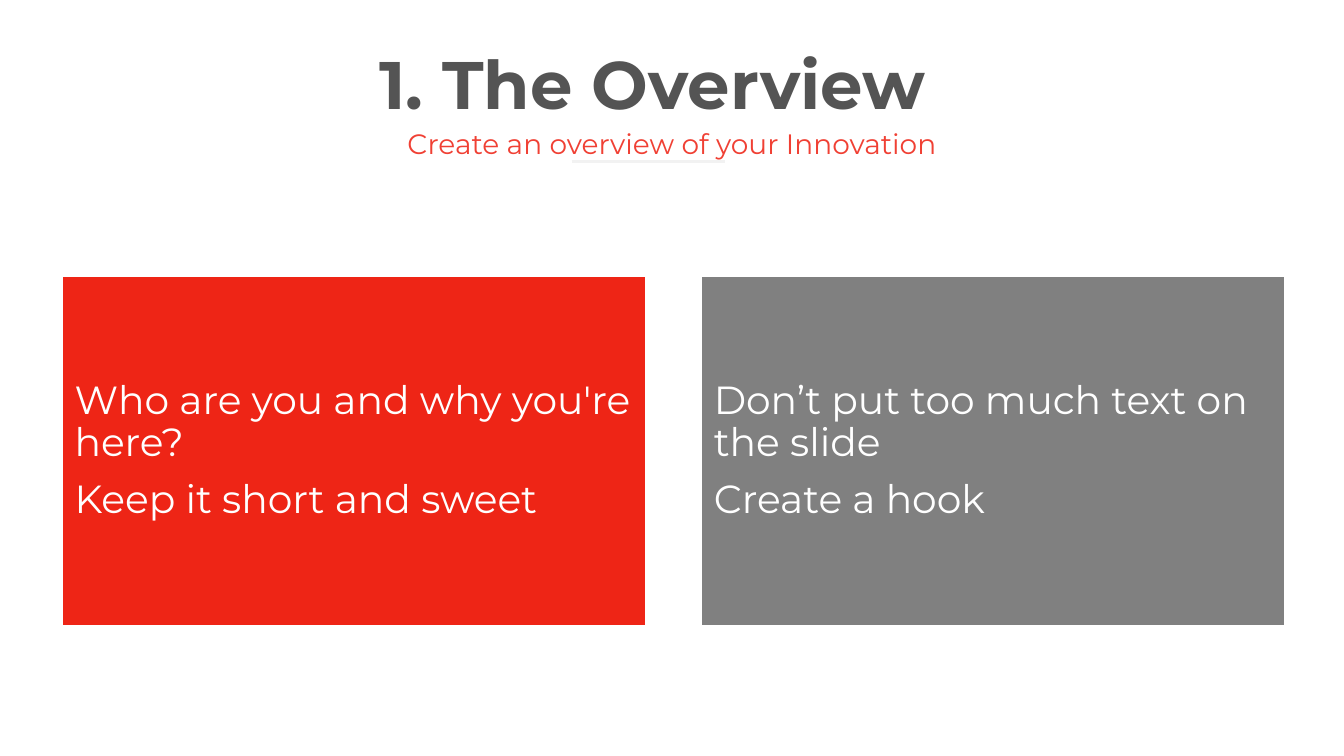
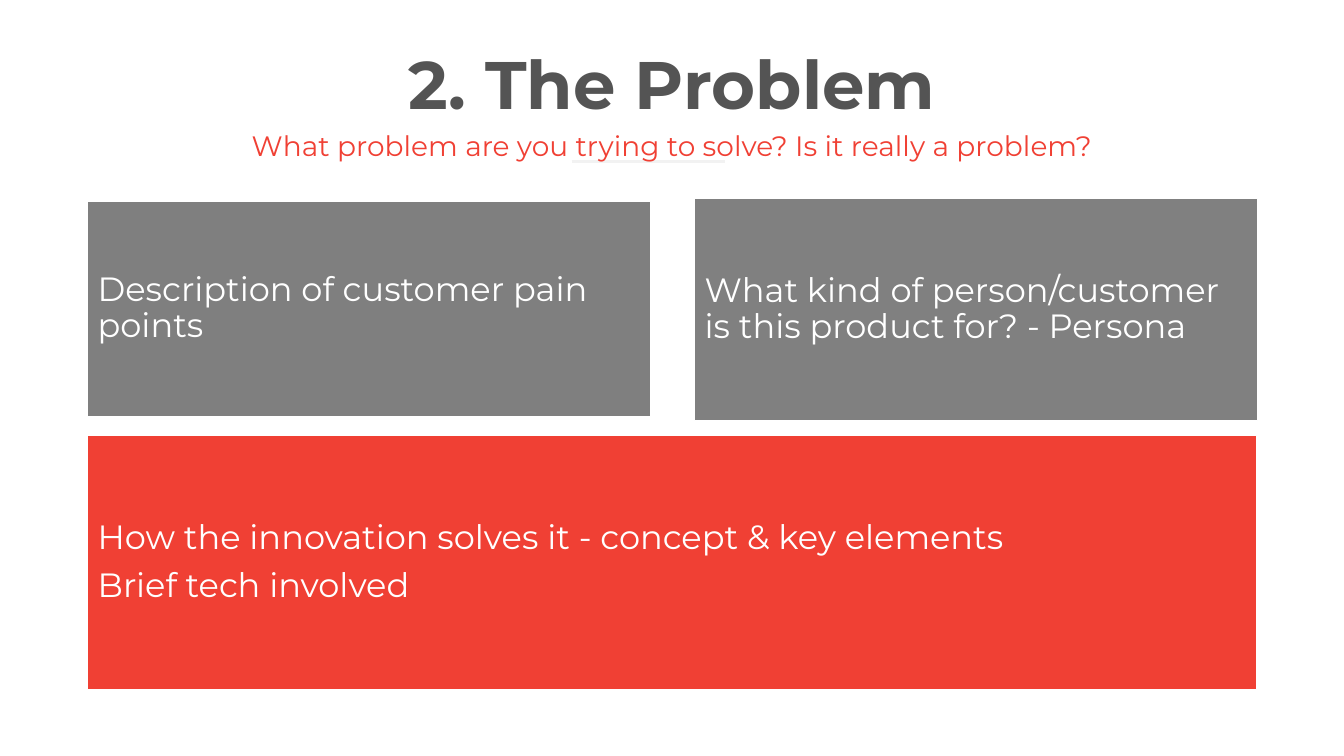
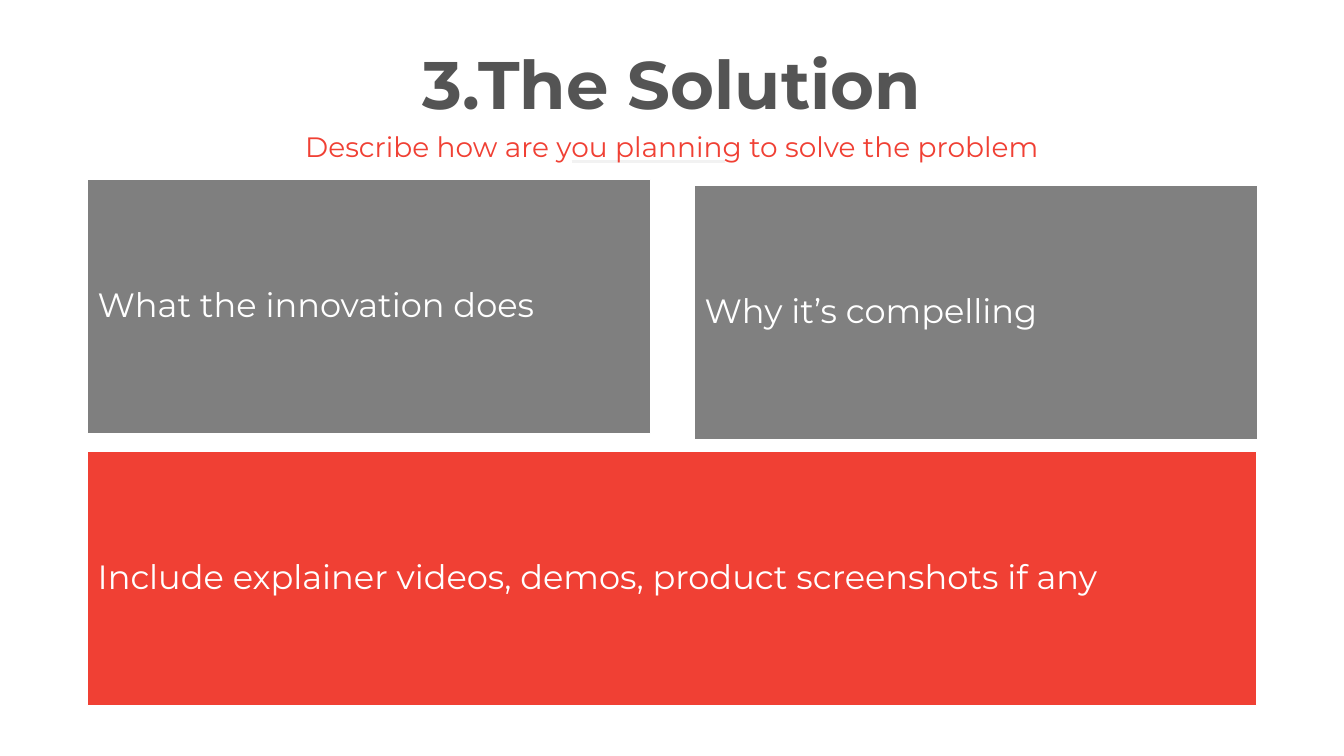
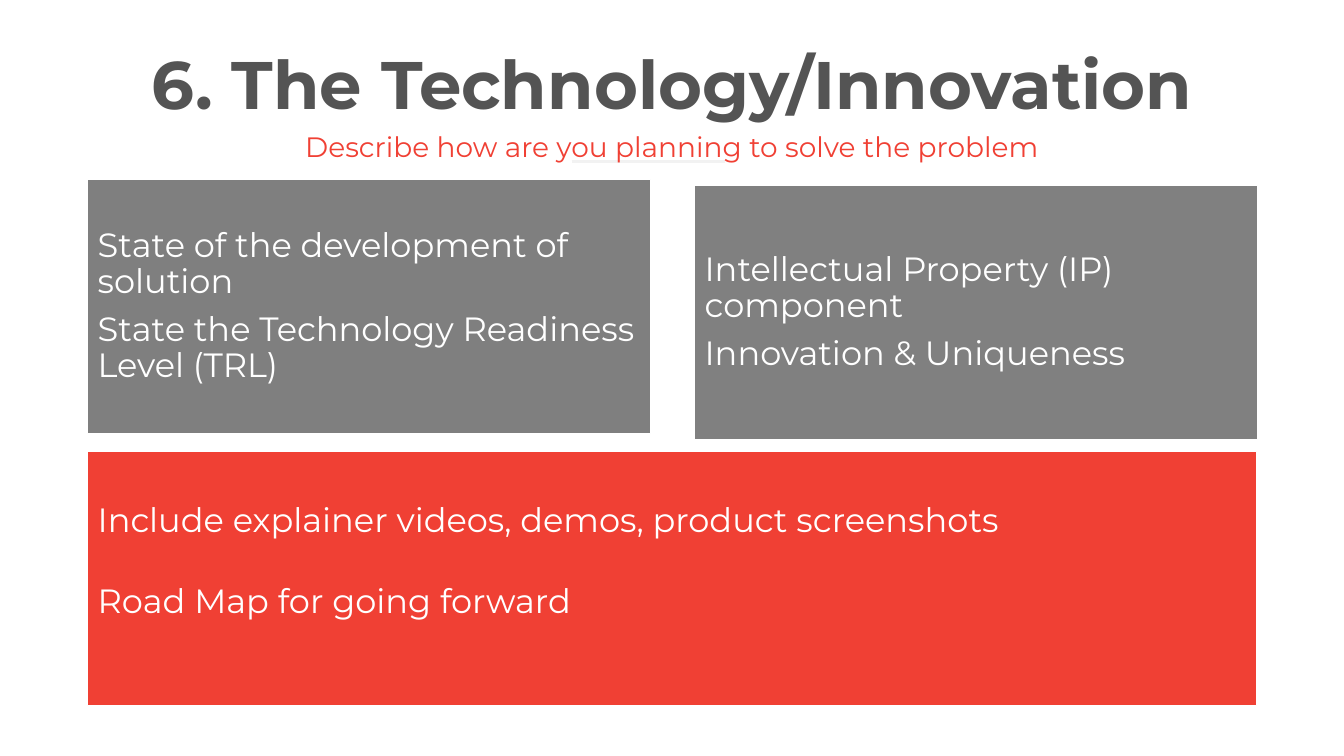
from pptx import Presentation
from pptx import util as u
from pptx.dml.color import RGBColor
from pptx.enum import shapes, text
from pptx.oxml import parse_xml
from pptx.oxml.ns import nsdecls

PX = 9144
FONT = "Montserrat"
HUES = {
    "title": "545454",
    "coral": "F04034",
    "red": "EE2516",
    "gray": "808080",
    "slate": "7F7F7F",
    "rule": "F2F2F2",
    "white": "FFFFFF",
}
LEFT, RIGHT, HALF, FULL = 87, 689, 558, 1159


def px(*sizes):
    return [u.Emu(size * PX) for size in sizes]


def hue(name):
    return RGBColor.from_string(HUES[name])


def write(shape, lines, size, color, bold=False, align=text.PP_ALIGN.LEFT,
          anchor=text.MSO_ANCHOR.TOP, lead=1.0, after=0, inset=None, foot=0):
    frame = shape.text_frame
    frame.word_wrap = True
    frame.auto_size = text.MSO_AUTO_SIZE.NONE
    frame.vertical_anchor = anchor
    if inset is not None:
        frame.margin_left, frame.margin_top, frame.margin_right = px(inset, inset, inset)
        frame.margin_bottom = px(inset + foot)[0]
    frame.text = "\n".join(lines)
    for para in frame.paragraphs:
        para.alignment = align
        para.line_spacing = lead
        para.space_before = u.Pt(0)
        para.space_after = u.Pt(after)
        font = para.runs[0].font
        font.name, font.size, font.bold = FONT, u.Pt(size), bold
        font.color.rgb = hue(color)


def rule(slide):
    line = slide.shapes.add_connector(shapes.MSO_CONNECTOR.STRAIGHT, *px(567, 160, 719, 160))
    line.line.color.rgb = hue("rule")
    line.line.width = u.Pt(2)
    line._element.spPr.append(parse_xml(f"<a:effectLst {nsdecls('a')}/>"))


def page(deck, title, sub, top, left=82, width=1169):
    slide = deck.slides.add_slide(deck.slide_layouts[5])
    head = slide.shapes.title
    head.left, head.top, head.width, head.height = px(left, 52, width, 75)
    center = text.PP_ALIGN.CENTER
    write(head, [title], 48, "title", bold=True, align=center, lead=0.8)
    rule(slide)
    note = slide.shapes.add_textbox(*px(187, top, 959, 44))
    write(note, [sub], 20, "coral", align=center)
    return slide


def card(slide, area, fill, lines, size=24, inset=10, lead=0.9, after=None, foot=0):
    box = slide.shapes.add_shape(shapes.MSO_SHAPE.RECTANGLE, *px(*area))
    box.shadow.inherit = False
    box.fill.solid()
    box.fill.fore_color.rgb = hue(fill)
    box.line.color.rgb = hue("white")
    box.line.width = u.Pt(1)
    gap = round(size * 0.35, 1) if after is None else after
    write(box, lines, size, "white", anchor=text.MSO_ANCHOR.MIDDLE,
          lead=lead, after=gap, inset=inset, foot=foot)


def trio(slide, first, second, base, tops=(178, 184, 448), highs=(252, 252, 252), **style):
    card(slide, (LEFT, tops[0], HALF, highs[0]), "slate", first)
    card(slide, (RIGHT, tops[1], HALF, highs[1]), "gray", second)
    card(slide, (LEFT, tops[2], FULL, highs[2]), "coral", base, **style)


def main():
    deck = Presentation()
    deck.slide_width, deck.slide_height = px(1333, 750)

    slide = page(deck, "1. The Overview", "Create an overview of your Innovation",
                 121, left=43, width=1208)
    pair = [
        ("red", ["Who are you and why you're here?", "Keep it short and sweet"]),
        ("gray", ["Don’t put too much text on the slide", "Create a hook"]),
    ]
    for i, (fill, lines) in enumerate(pair):
        card(slide, (62 + i * 634, 274, 578, 347), fill, lines, size=28, inset=12)

    slide = page(deck, "2. The Problem",
                 "What problem are you trying to solve? Is it really a problem?", 123)
    trio(slide, ["Description of customer pain points"],
         ["What kind of person/customer is this product for? - Persona"],
         ["How the innovation solves it - concept & key elements", "Brief tech involved"],
         tops=(200, 197, 432), highs=(213, 220, 252))

    plan = "Describe how are you planning to solve the problem"
    slide = page(deck, "3.The Solution", plan, 124)
    trio(slide, ["What the innovation does"], ["Why it’s compelling"],
         ["Include explainer videos, demos, product screenshots if any"])

    slide = page(deck, "6. The Technology/Innovation", plan, 124)
    trio(slide,
         ["State of the development of solution", "State the Technology Readiness Level (TRL)"],
         ["Intellectual Property (IP) component", "Innovation & Uniqueness"],
         ["Include explainer videos, demos, product screenshots", "Road Map for going forward"],
         lead=1.0, after=29, foot=37)

    deck.save("out.pptx")


if __name__ == "__main__":
    main()
